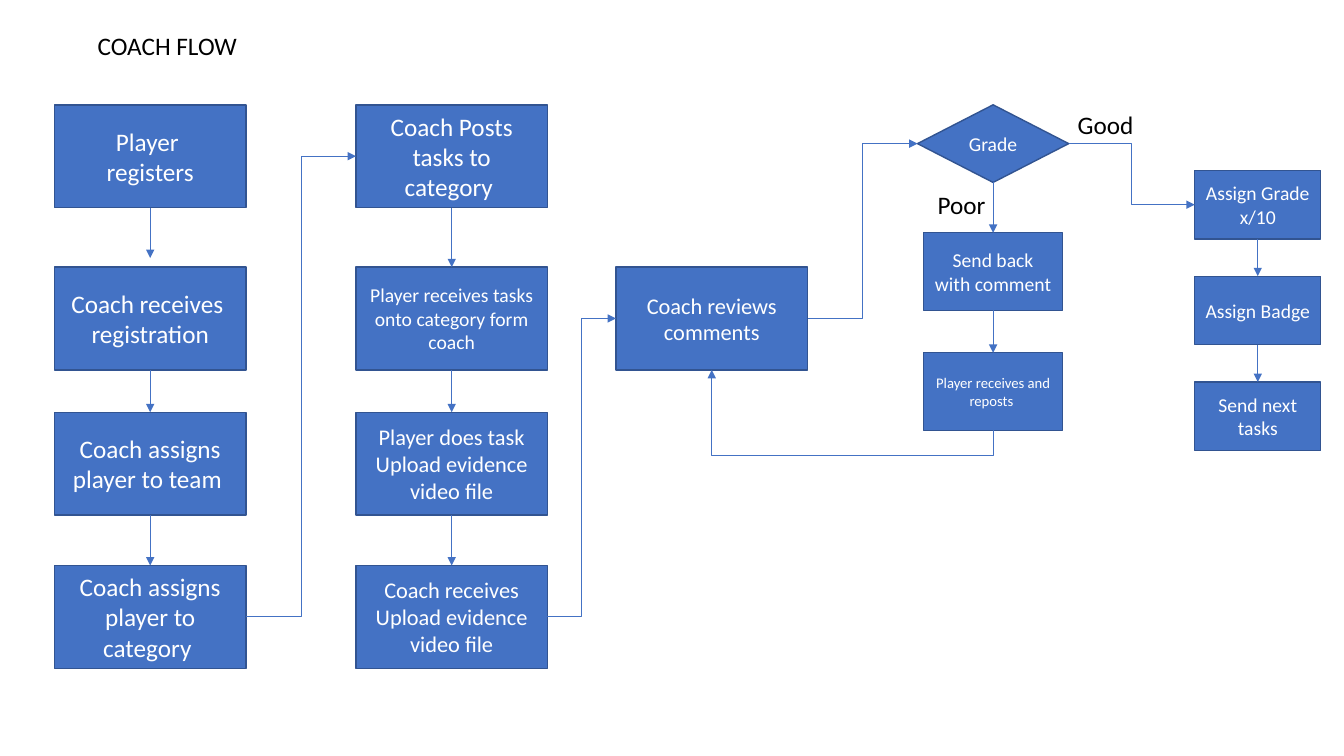
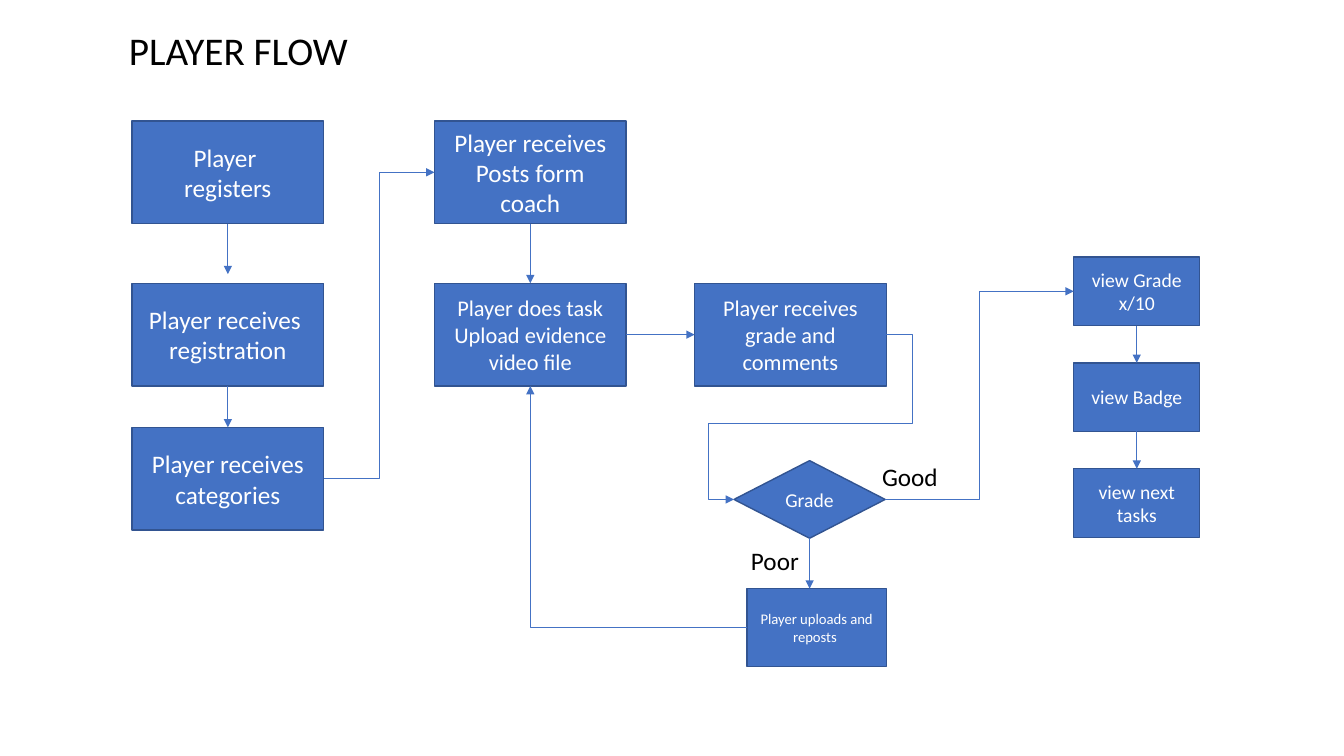
"""Build the coach and player flowcharts as two slides."""
from dataclasses import dataclass

from lxml.etree import SubElement
from pptx import Presentation
from pptx.dml.color import RGBColor
from pptx.enum.shapes import MSO_CONNECTOR, MSO_SHAPE
from pptx.enum.text import MSO_ANCHOR, PP_ALIGN
from pptx.oxml.ns import qn
from pptx.util import Inches, Pt


@dataclass(frozen=True)
class Theme:
    """Colours, type sizes and line widths shared by both flows."""
    font: str = "Calibri"
    fill: RGBColor = RGBColor(0x44, 0x72, 0xC4)
    outline: RGBColor = RGBColor(0x32, 0x54, 0x91)
    on_fill: RGBColor = RGBColor(0xFF, 0xFF, 0xFF)
    ink: RGBColor = RGBColor(0, 0, 0)
    heading: float = 28
    large: float = 18
    medium: float = 16
    small: float = 14
    tiny: float = 10.5
    outline_width: float = 1
    arrow_width: float = 0.5


THEME = Theme()
STEP_KINDS = {
    "main": (MSO_SHAPE.RECTANGLE, 1.9, 1.02),
    "retry": (MSO_SHAPE.RECTANGLE, 1.38, 0.77),
    "result": (MSO_SHAPE.RECTANGLE, 1.25, 0.68),
    "decision": (MSO_SHAPE.FLOWCHART_DECISION, 1.5, 0.77),
}
SITES = {"top": 0, "left": 1, "bottom": 2, "right": 3}
STUB_LENGTH = 0.5
RESULT_PITCH = 1.05
COACH_ROWS = (1.04, 2.65, 4.09, 5.61)
PLAYER_ROWS = (1.2, 2.81, 4.24)


def column(kind, left, tops, steps):
    """Stack steps of one kind at the given tops."""
    return [(key, kind, left, top, size, text)
            for top, (key, size, text) in zip(tops, steps)]


def results(left, top, texts):
    """Stack the three outcome steps at an equal pitch."""
    tops = [top + RESULT_PITCH * row for row in range(len(texts))]
    steps = [(key, THEME.small, text)
             for key, text in zip(("score", "badge", "next"), texts)]
    return column("result", left, tops, steps)


COACH_FLOW = {
    "title": ("COACH FLOW", 0.87, 0.25, 1.6, 0.4, THEME.large),
    "steps": [
        *column("main", 0.54, COACH_ROWS, [
            ("register", THEME.large, "Player \nregisters"),
            ("registration", THEME.large, "Coach receives \nregistration"),
            ("team", THEME.large, "Coach assigns player to team "),
            ("category", THEME.large, "Coach assigns player to category "),
        ]),
        *column("main", 3.53, COACH_ROWS, [
            ("post", THEME.large, "Coach Posts tasks to category "),
            ("receive", THEME.small,
             "Player receives tasks onto category form coach"),
            ("do", THEME.medium,
             "Player does task\nUpload evidence video file"),
            ("evidence", THEME.medium,
             "Coach receives\nUpload evidence video file"),
        ]),
        ("review", "main", 6.11, COACH_ROWS[1], THEME.medium,
         "Coach reviews comments"),
        ("grade", "decision", 9.1, 1.04, THEME.small, "Grade"),
        *column("retry", 9.16, (2.31, 3.5), [
            ("return", THEME.small, "Send back with comment"),
            ("repost", THEME.tiny, "Player receives and reposts "),
        ]),
        *results(11.85, 1.69,
                 ("Assign Grade x/10", "Assign Badge", "Send next tasks")),
    ],
    "stubs": ["register"],
    "chains": [("registration", "team", "category"),
               ("post", "receive", "do", "evidence"),
               ("grade", "return", "repost"),
               ("score", "badge", "next")],
    "links": [
        ("category", "right", "post", "left", "bentConnector3", ()),
        ("evidence", "right", "review", "left", "bentConnector3", ()),
        ("review", "right", "grade", "left", "bentConnector3", ()),
        ("grade", "right", "score", "left", "bentConnector3", ()),
        ("repost", "bottom", "review", "bottom", "bentConnector3", (-0.42,)),
    ],
    "labels": [("Poor", 9.2, 1.83, 0.68, 0.4, THEME.large),
               ("Good", 10.59, 1.04, 0.76, 0.4, THEME.large)],
}

PLAYER_FLOW = {
    "title": ("PLAYER FLOW", 1.18, 0.21, 3.05, 0.57, THEME.heading),
    "steps": [
        *column("main", 1.31, PLAYER_ROWS, [
            ("register", THEME.large, "Player \nregisters"),
            ("registration", THEME.large, "Player receives \nregistration"),
            ("category", THEME.large, "Player receives categories"),
        ]),
        *column("main", 4.31, PLAYER_ROWS, [
            ("post", THEME.large, "Player receives Posts form coach"),
            ("do", THEME.medium,
             "Player does task\nUpload evidence video file"),
        ]),
        ("review", "main", 6.89, PLAYER_ROWS[1], THEME.medium,
         "Player receives grade and comments"),
        ("grade", "decision", 7.28, 4.57, THEME.small, "Grade"),
        ("repost", "retry", 7.41, 5.84, THEME.tiny,
         "Player uploads and reposts "),
        *results(10.65, 2.55,
                 ("view Grade x/10", "view Badge", "view next tasks")),
    ],
    "stubs": ["register", "grade"],
    "chains": [("registration", "category"),
               ("post", "do"),
               ("score", "badge", "next")],
    "links": [
        ("category", "right", "post", "left", "bentConnector3", ()),
        ("do", "right", "review", "left", "line", ()),
        ("review", "right", "grade", "left", "bentConnector5",
         (-0.17, 0.54, 1.17)),
        ("grade", "right", "score", "left", "bentConnector3", ()),
        ("repost", "left", "do", "bottom", "bentConnector2", ()),
    ],
    "labels": [("Poor", 7.35, 5.36, 0.68, 0.4, THEME.large),
               ("Good", 8.65, 4.53, 0.76, 0.4, THEME.large)],
}


def write(frame, text, size, color, align):
    """Fill a text frame, one paragraph per line."""
    frame.text = text
    for paragraph in frame.paragraphs:
        paragraph.alignment = align
        paragraph.font.name = THEME.font
        paragraph.font.size = Pt(size)
        paragraph.font.color.rgb = color


def add_step(slide, kind, left, top, size, text):
    """Draw one flowchart step."""
    preset, width, height = STEP_KINDS[kind]
    step = slide.shapes.add_shape(
        preset, Inches(left), Inches(top), Inches(width), Inches(height))
    step.shadow.inherit = False
    step.fill.solid()
    step.fill.fore_color.rgb = THEME.fill
    step.line.color.rgb = THEME.outline
    step.line.width = Pt(THEME.outline_width)
    step.text_frame.word_wrap = True
    step.text_frame.vertical_anchor = MSO_ANCHOR.MIDDLE
    write(step.text_frame, text, size, THEME.on_fill, PP_ALIGN.CENTER)
    return step


def add_label(slide, text, left, top, width, height, size):
    """Place free text on the slide."""
    label = slide.shapes.add_textbox(
        Inches(left), Inches(top), Inches(width), Inches(height))
    label.text_frame.word_wrap = False
    write(label.text_frame, text, size, THEME.ink, PP_ALIGN.LEFT)


def add_arrow(slide, route="line"):
    """Add an unplaced arrow in the flow style."""
    style = MSO_CONNECTOR.STRAIGHT if route == "line" else MSO_CONNECTOR.ELBOW
    arrow = slide.shapes.add_connector(style, 0, 0, 0, 0)
    arrow.line.color.rgb = THEME.fill
    arrow.line.width = Pt(THEME.arrow_width)
    properties = arrow._element.spPr
    SubElement(properties.find(qn("a:ln")), qn("a:tailEnd"), type="triangle")
    SubElement(properties, qn("a:effectLst"))
    return arrow


def add_stub(slide, start):
    """Point a short arrow down from a step."""
    arrow = add_arrow(slide)
    arrow.begin_connect(start, SITES["bottom"])
    arrow.end_x = arrow.begin_x
    arrow.end_y = arrow.begin_y + Inches(STUB_LENGTH)


def turn_upright(arrow):
    """Rotate an elbow that runs up and left so it leaves downwards."""
    center_x = arrow.left + arrow.width // 2
    center_y = arrow.top + arrow.height // 2
    arrow.width, arrow.height = arrow.height, arrow.width
    arrow.left = center_x - arrow.width // 2
    arrow.top = center_y - arrow.height // 2
    frame = arrow._element.spPr.find(qn("a:xfrm"))
    frame.set("rot", str(90 * 60000))
    frame.set("flipH", "1")
    frame.set("flipV", "0")


def add_link(slide, start, start_side, end, end_side, route, bends):
    """Join two steps with a straight or elbow arrow."""
    arrow = add_arrow(slide, route)
    arrow.begin_connect(start, SITES[start_side])
    arrow.end_connect(end, SITES[end_side])
    if route == "line":
        return
    geometry = arrow._element.spPr.find(qn("a:prstGeom"))
    geometry.set("prst", route)
    for number, bend in enumerate(bends, 1):
        SubElement(geometry.find(qn("a:avLst")), qn("a:gd"),
                   name=f"adj{number}", fmla=f"val {round(bend * 100000)}")
    if start_side == "bottom":
        turn_upright(arrow)


def add_flow(deck, flow):
    """Draw one whole flow on a new slide."""
    slide = deck.slides.add_slide(deck.slide_layouts[6])
    steps = {key: add_step(slide, *step) for key, *step in flow["steps"]}
    for key in flow["stubs"]:
        add_stub(slide, steps[key])
    for chain in flow["chains"]:
        for upper, lower in zip(chain, chain[1:]):
            add_link(slide, steps[upper], "bottom", steps[lower], "top",
                     "line", ())
    for start, start_side, end, end_side, route, bends in flow["links"]:
        add_link(slide, steps[start], start_side, steps[end], end_side,
                 route, bends)
    for label in (*flow["labels"], flow["title"]):
        add_label(slide, *label)


deck = Presentation()
deck.slide_width, deck.slide_height = Inches(13.33), Inches(7.5)
for flow in (COACH_FLOW, PLAYER_FLOW):
    add_flow(deck, flow)
deck.save("out.pptx")
